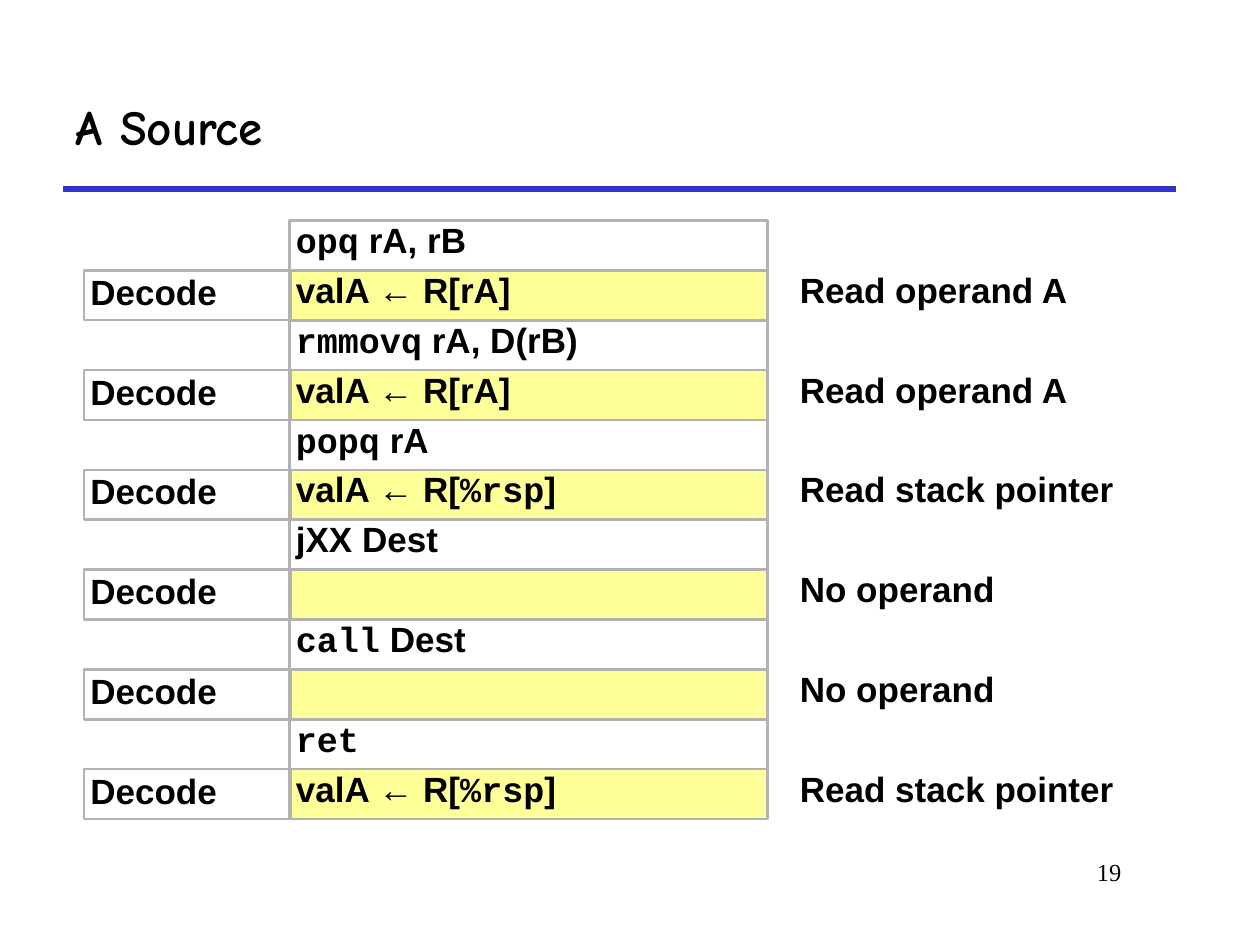
from dataclasses import dataclass

from lxml import etree
from pptx import Presentation
from pptx.dml.color import RGBColor
from pptx.enum.shapes import MSO_CONNECTOR, MSO_SHAPE
from pptx.enum.text import MSO_ANCHOR, MSO_AUTO_SIZE, PP_ALIGN
from pptx.oxml.ns import qn
from pptx.util import Pt

TOP, MIDDLE = MSO_ANCHOR.TOP, MSO_ANCHOR.MIDDLE
LEFT, RIGHT = PP_ALIGN.LEFT, PP_ALIGN.RIGHT
RECTANGLE = MSO_SHAPE.RECTANGLE
STRAIGHT = MSO_CONNECTOR.STRAIGHT
NO_AUTOFIT = MSO_AUTO_SIZE.NONE


@dataclass(frozen=True)
class Theme:
    ink: RGBColor = RGBColor(0x00, 0x00, 0x00)
    rule: RGBColor = RGBColor(0x33, 0x33, 0xCC)
    border: RGBColor = RGBColor(0xB2, 0xB2, 0xB2)
    highlight: RGBColor = RGBColor(0xFF, 0xFF, 0x99)
    title_font: str = "Comic Neue"
    body_font: str = "Arial"
    code_font: str = "Courier New"
    number_font: str = "Times New Roman"
    title_size: float = 28
    body_size: float = 20
    number_size: float = 14


THEME = Theme()

ROW_TOP, ROW_HEIGHT = 126, 28.5
# Left and width of each column
STAGE = (48, 118)
OPERATION = (165.5, 273)
NOTE = (453.5, 219)

# Backticks mark code: instruction, decode operation, note
INSTRUCTIONS = [
    ("`opq` rA, rB", "valA ← R[rA]", "Read operand A"),
    ("`rmmovq` rA, D(rB)", "valA ← R[rA]", "Read operand A"),
    ("`popq` rA", "valA ← R[`%rsp`]", "Read stack pointer"),
    ("jXX Dest", "", "No operand"),
    ("`call` Dest", "", "No operand"),
    ("`ret`", "valA ← R[`%rsp`]", "Read stack pointer"),
]


def write_text(shape, text, *, font=THEME.body_font, size=THEME.body_size,
               bold=True, align=LEFT, anchor=TOP, inset=(3.6, 3.6),
               line_spacing=0.8, space_before=12.5):
    """Fill a shape with one paragraph; parts between backticks use the code font."""
    frame = shape.text_frame
    frame.word_wrap = True
    frame.auto_size = NO_AUTOFIT
    frame.vertical_anchor = anchor
    frame.margin_left = frame.margin_right = Pt(inset[0])
    frame.margin_top = frame.margin_bottom = Pt(inset[1])
    paragraph = frame.paragraphs[0]
    paragraph.alignment = align
    paragraph.line_spacing = line_spacing
    paragraph.space_before = Pt(space_before)
    for index, part in enumerate(text.split("`")):
        if part:
            run = paragraph.add_run()
            run.text = part
            run.font.name = THEME.code_font if index % 2 else font
            run.font.size = Pt(size)
            run.font.bold = bold
            run.font.color.rgb = THEME.ink


def add_title(slide, text):
    title = slide.shapes.title
    title.left, title.top = Pt(36), Pt(36)
    title.width, title.height = Pt(636), Pt(72)
    write_text(title, text, font=THEME.title_font, size=THEME.title_size,
               anchor=MIDDLE, inset=(7.2, 3.6), line_spacing=1, space_before=0)


def add_rule(slide):
    rule = slide.shapes.add_connector(STRAIGHT, Pt(36), Pt(108), Pt(672), Pt(108))
    rule.line.color.rgb = THEME.rule
    rule.line.width = Pt(3)
    etree.SubElement(rule._element.spPr, qn("a:effectLst"))


def add_cell(slide, column, top, text, *, fill=None, anchor=TOP):
    left, width = column
    cell = slide.shapes.add_shape(RECTANGLE, Pt(left), Pt(top), Pt(width), Pt(ROW_HEIGHT))
    cell.shadow.inherit = False
    if fill is None:
        cell.fill.background()
    else:
        cell.fill.solid()
        cell.fill.fore_color.rgb = fill
    cell.line.color.rgb = THEME.border
    cell.line.width = Pt(1.5)
    write_text(cell, text, anchor=anchor)


def add_label(slide, left, top, width, height, text, **text_format):
    label = slide.shapes.add_textbox(Pt(left), Pt(top), Pt(width), Pt(height))
    write_text(label, text, **text_format)


def add_instruction(slide, top, instruction, operation, note):
    """Add an instruction row and the decode row below it."""
    decode_top = top + ROW_HEIGHT
    add_cell(slide, OPERATION, top, instruction)
    add_cell(slide, OPERATION, decode_top, operation, fill=THEME.highlight)
    add_cell(slide, STAGE, decode_top, "Decode", anchor=MIDDLE)
    note_left, note_width = NOTE
    add_label(slide, note_left, decode_top, note_width, ROW_HEIGHT, note)


def main():
    presentation = Presentation()
    presentation.slide_width, presentation.slide_height = Pt(720), Pt(540)
    slide = presentation.slides.add_slide(presentation.slide_layouts.get_by_name("Title Only"))
    add_rule(slide)
    add_title(slide, "A Source")
    for index, instruction in enumerate(INSTRUCTIONS):
        add_instruction(slide, ROW_TOP + 2 * index * ROW_HEIGHT, *instruction)
    add_label(slide, 546, 486, 102, 36, "19", font=THEME.number_font,
              size=THEME.number_size, bold=False, align=RIGHT,
              inset=(7.2, 3.6), line_spacing=1, space_before=0)
    presentation.save("out.pptx")


if __name__ == "__main__":
    main()
